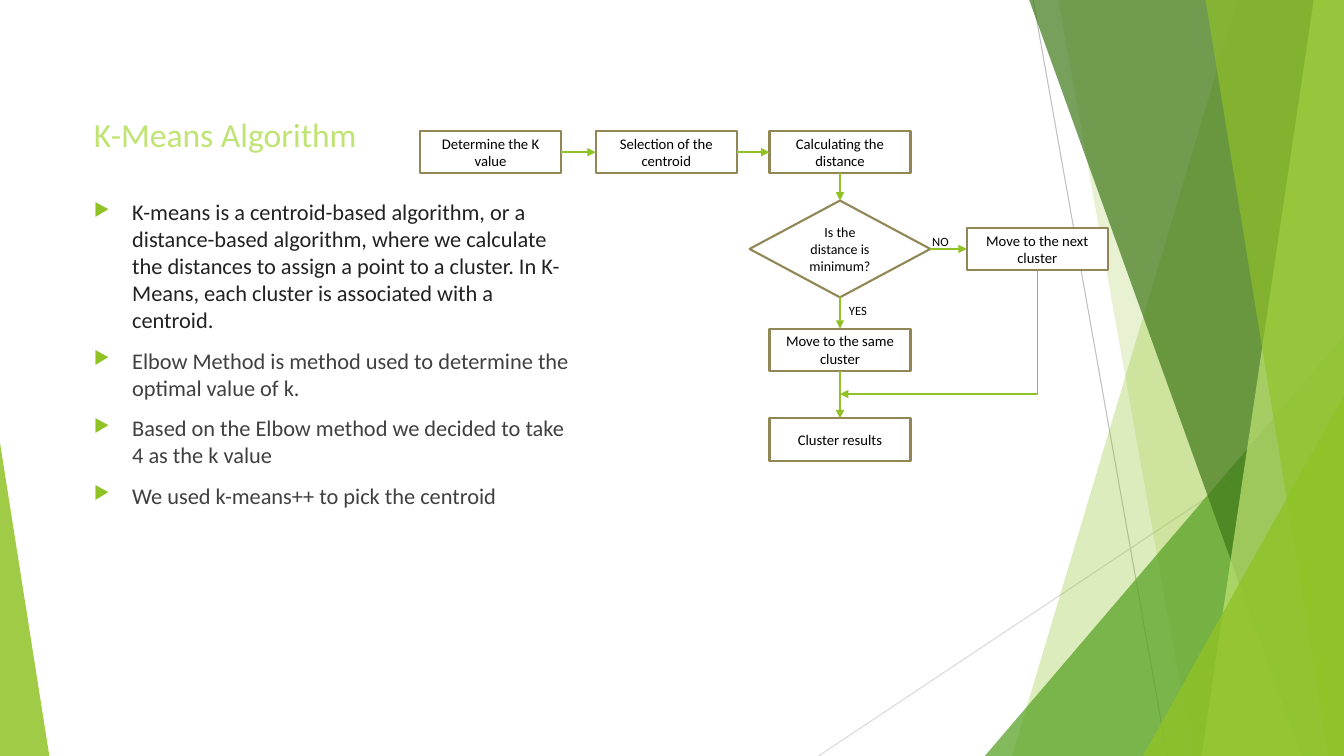
from dataclasses import dataclass
from typing import Any

from lxml.etree import SubElement
from pptx import Presentation
from pptx.dml.color import RGBColor as Color
from pptx.enum.shapes import MSO_CONNECTOR as Connector
from pptx.enum.shapes import MSO_SHAPE as Preset
from pptx.enum.text import MSO_ANCHOR as Anchor
from pptx.enum.text import PP_ALIGN as Align
from pptx.oxml.ns import qn
from pptx.util import Emu, Inches, Pt

COLUMNS, ROWS = 40, 30
WIDTH, HEIGHT = Inches(13.33), Inches(7.5)


@dataclass(frozen=True)
class Theme:
    font: str = "Calibri"
    green: str = "90C226"
    leaf: str = "54A021"
    forest: str = "3F7819"
    lime: str = "C0E474"
    olive: str = "918655"
    white: str = "FFFFFF"
    black: str = "000000"
    ink: str = "222222"
    body: str = "404040"
    gray: str = "BFBFBF"
    pale_gray: str = "D9D9D9"
    title_size: float = 24
    body_size: float = 16
    step_size: float = 10.5
    decision_size: float = 10
    label_size: float = 9
    thin: float = 0.75
    arrow: float = 1
    border: float = 1.5


THEME = Theme()


@dataclass(frozen=True)
class Facet:
    """Panel reaching from a slanted left side to the right slide edge."""
    top_column: float
    bottom_column: float
    color: str
    opacity: int


@dataclass(frozen=True)
class Corner:
    """Right triangle standing on the bottom slide edge."""
    left: float
    width: float
    top: float
    apex: float
    color: str
    opacity: int


@dataclass(frozen=True)
class Node:
    """Flowchart box, placed by its centre."""
    text: str
    column: float
    row: float
    width: float = 4.2
    height: float = 1.68
    preset: Any = Preset.RECTANGLE
    size: float = THEME.step_size


@dataclass(frozen=True)
class TextBox:
    left: float
    top: float
    width: float
    height: float
    anchor: Any = Anchor.TOP


def x(columns: float) -> Emu:
    return Emu(round(WIDTH * columns / COLUMNS))


def y(rows: float) -> Emu:
    return Emu(round(HEIGHT * rows / ROWS))


def apply(target: Any, values: dict[str, Any]) -> None:
    for name, value in values.items():
        setattr(target, name, value)


def paint(shape: Any, color: str, opacity: int = 100) -> None:
    shape.shadow.inherit = False
    shape.fill.solid()
    shape.fill.fore_color.rgb = Color.from_string(color)
    shape.line.fill.background()
    if opacity < 100:
        tint = shape.fill._xPr.find(qn("a:solidFill"))[0]
        SubElement(tint, qn("a:alpha"), val=str(opacity * 1000))


def write(paragraph: Any, text: str, size: float, color: str) -> None:
    run = paragraph.add_run()
    run.text = text
    apply(run.font, {"name": THEME.font, "size": Pt(size)})
    run.font.color.rgb = Color.from_string(color)


def draw_facet(slide: Any, facet: Facet) -> None:
    builder = slide.shapes.build_freeform(x(facet.top_column), 0)
    builder.add_line_segments([(WIDTH, 0), (WIDTH, HEIGHT), (x(facet.bottom_column), HEIGHT)])
    paint(builder.convert_to_shape(), facet.color, facet.opacity)


def draw_corner(slide: Any, corner: Corner) -> None:
    shape = slide.shapes.add_shape(Preset.ISOSCELES_TRIANGLE, x(corner.left), y(corner.top),
                                   x(corner.width), y(ROWS - corner.top))
    shape.adjustments[0] = corner.apex
    paint(shape, corner.color, corner.opacity)


def draw_line(slide: Any, ends: tuple[Emu, Emu, Emu, Emu], color: str,
              weight: float, arrow: bool = False) -> Any:
    line = slide.shapes.add_connector(Connector.STRAIGHT, *ends)
    line.line.width = Pt(weight)
    line.line.color.rgb = Color.from_string(color)
    properties = line._element.spPr
    if arrow:
        SubElement(properties.find(qn("a:ln")), qn("a:tailEnd"), type="triangle")
    SubElement(properties, qn("a:effectLst"))
    return line


def draw_node(slide: Any, node: Node) -> Any:
    shape = slide.shapes.add_shape(
        node.preset, x(node.column - node.width / 2), y(node.row - node.height / 2),
        x(node.width), y(node.height))
    paint(shape, THEME.white)
    shape.line.color.rgb = Color.from_string(THEME.olive)
    shape.line.width = Pt(THEME.border)
    apply(shape.text_frame, {"word_wrap": True, "vertical_anchor": Anchor.MIDDLE})
    paragraph = shape.text_frame.paragraphs[0]
    paragraph.alignment = Align.CENTER
    write(paragraph, node.text, node.size, THEME.black)
    return shape


def draw_elbow(slide: Any, start: tuple[float, float], end: tuple[float, float]) -> None:
    """Arrow that runs down from start, then left to end."""
    across, down = x(start[0] - end[0]), y(end[1] - start[1])
    left = x((start[0] + end[0]) / 2) - down // 2
    top = y((start[1] + end[1]) / 2) - across // 2
    elbow = draw_line(slide, (left, top, left + down, top + across),
                      THEME.green, THEME.arrow, arrow=True)
    properties = elbow._element.spPr
    properties.find(qn("a:xfrm")).set("rot", str(90 * 60000))
    properties.find(qn("a:prstGeom")).set("prst", "bentConnector2")


def add_text(slide: Any, box: TextBox) -> Any:
    frame = slide.shapes.add_textbox(x(box.left), y(box.top), x(box.width), y(box.height)).text_frame
    apply(frame, {"word_wrap": True, "vertical_anchor": box.anchor})
    return frame


def add_bullet(paragraph: Any) -> None:
    paragraph.space_before = Pt(10)
    properties = paragraph._p.get_or_add_pPr()
    indent = Inches(0.38)
    apply_indent = {"marL": indent, "indent": -indent}
    for name, value in apply_indent.items():
        properties.set(name, str(value))
    SubElement(SubElement(properties, qn("a:buClr")), qn("a:srgbClr"), val=THEME.green)
    SubElement(properties, qn("a:buSzPct"), val="80000")
    SubElement(properties, qn("a:buChar"), char="▶")


# Background, from back to front
RAYS = [((30.75, 0, 34.74, 30), THEME.gray), ((40, 16.12, 24.36, 30), THEME.pale_gray)]
BACKDROP = [
    Facet(36.84, 30.12, THEME.green, 30),
    Facet(31.5, 35.5, THEME.green, 20),
    Corner(29.31, 10.69, 13.32, 1, THEME.leaf, 72),
    Facet(30.63, 38.73, THEME.forest, 70),
    Facet(39.1, 35.76, THEME.lime, 70),
    Facet(35.88, 39.54, THEME.green, 65),
    Corner(34.02, 5.98, 15.72, 1, THEME.green, 80),
    Corner(0, 1.47, 17.56, 0, THEME.green, 85),
]

# Flowchart
MAIN, SIDE = 25, 30.87
NODES = {
    "k": Node("Determine the K value", 14.6, 6.04),
    "centroid": Node("Selection of the centroid", 19.83, 6.04),
    "distance": Node("Calculating the distance", MAIN, 6.04),
    "decision": Node("Is the distance is minimum?", MAIN, 9.88, 5.38, 3.84,
                     Preset.FLOWCHART_DECISION, THEME.decision_size),
    "same": Node("Move to the same cluster", MAIN, 13.88),
    "next": Node("Move to the next cluster", SIDE, 9.88),
    "results": Node("Cluster results", MAIN, 17.44),
}
TOP, LEFT, BOTTOM, RIGHT = range(4)
ARROWS = [
    ("k", RIGHT, "centroid", LEFT),
    ("centroid", RIGHT, "distance", LEFT),
    ("distance", BOTTOM, "decision", TOP),
    ("decision", RIGHT, "next", LEFT),
    ("decision", BOTTOM, "same", TOP),
    ("same", BOTTOM, "results", TOP),
]
LABELS = [("NO", TextBox(27.45, 9.08, 1.56, 1)), ("YES", TextBox(24.97, 11.84, 1.56, 1))]

# Text
TITLE_BOX = TextBox(2.5, 3.8, 13.75, 2.52, Anchor.BOTTOM)
BODY_BOX = TextBox(2.5, 7.68, 14.76, 17.44)
BULLETS = [
    ("K-means is a centroid-based algorithm, or a distance-based algorithm, where we calculate "
     "the distances to assign a point to a cluster. In K-Means, each cluster is associated "
     "with a centroid.", THEME.ink),
    ("Elbow Method is method used to determine the optimal value of k.", THEME.body),
    ("Based on the Elbow method we decided to take 4 as the k value", THEME.body),
    ("We used k-means++ to pick the centroid", THEME.body),
]


def main() -> None:
    presentation = Presentation()
    apply(presentation, {"slide_width": WIDTH, "slide_height": HEIGHT})
    slide = presentation.slides.add_slide(presentation.slide_layouts[6])

    for (x1, y1, x2, y2), color in RAYS:
        draw_line(slide, (x(x1), y(y1), x(x2), y(y2)), color, THEME.thin)
    for part in BACKDROP:
        draw = draw_facet if isinstance(part, Facet) else draw_corner
        draw(slide, part)

    shapes = {name: draw_node(slide, node) for name, node in NODES.items()}
    for source, source_side, target, target_side in ARROWS:
        arrow = draw_line(slide, (0, 0, 0, 0), THEME.green, THEME.arrow, arrow=True)
        arrow.begin_connect(shapes[source], source_side)
        arrow.end_connect(shapes[target], target_side)
    draw_elbow(slide, (SIDE, 10.72), (MAIN, 15.64))
    for text, box in LABELS:
        write(add_text(slide, box).paragraphs[0], text, THEME.label_size, THEME.black)

    title = add_text(slide, TITLE_BOX).paragraphs[0]
    write(title, "K-Means Algorithm", THEME.title_size, THEME.lime)
    body = add_text(slide, BODY_BOX)
    for index, (text, color) in enumerate(BULLETS):
        paragraph = body.add_paragraph() if index else body.paragraphs[0]
        add_bullet(paragraph)
        write(paragraph, text, THEME.body_size, color)

    presentation.save("out.pptx")


if __name__ == "__main__":
    main()
